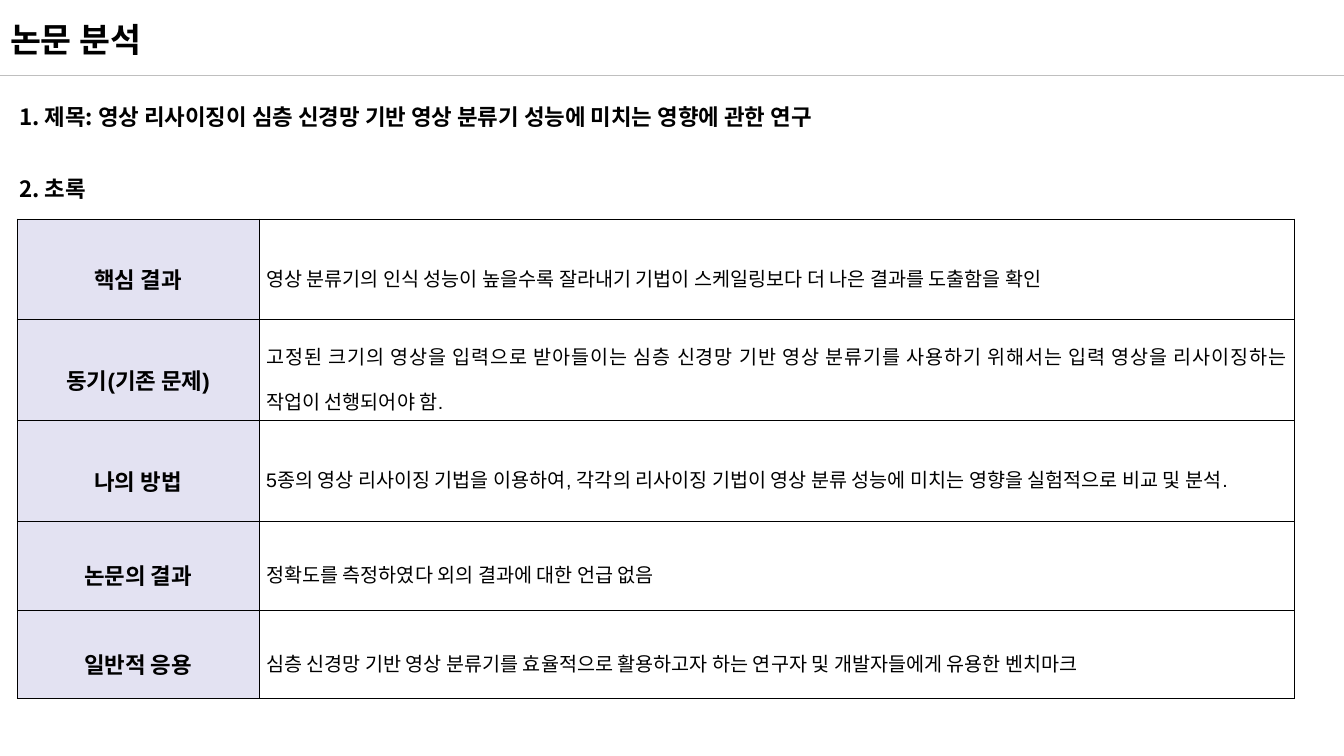
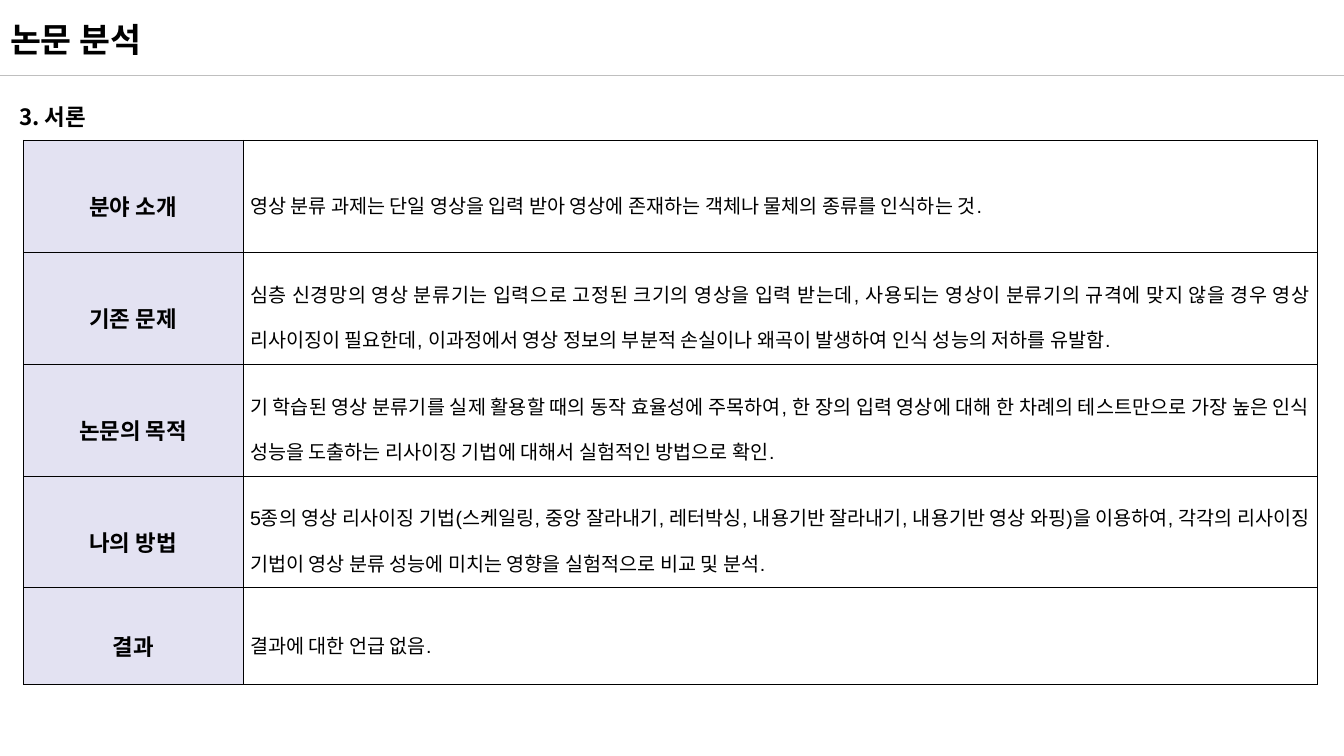
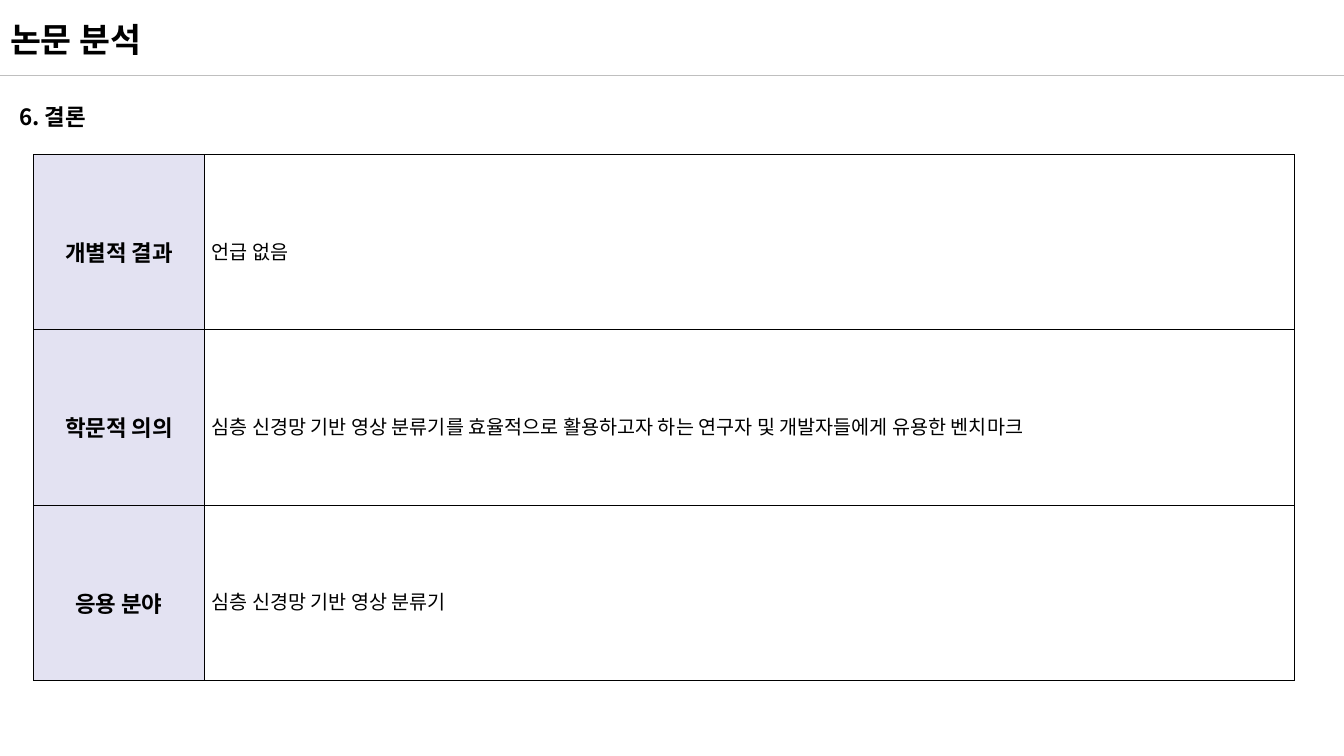
from lxml import etree
from pptx import Presentation
from pptx.dml.color import RGBColor
from pptx.enum.shapes import MSO_CONNECTOR
from pptx.enum.text import MSO_ANCHOR, MSO_AUTO_SIZE, PP_ALIGN
from pptx.oxml.ns import qn
from pptx.util import Inches, Pt

LINE = MSO_CONNECTOR.STRAIGHT
TOP, MIDDLE = MSO_ANCHOR.TOP, MSO_ANCHOR.MIDDLE
FIXED = MSO_AUTO_SIZE.NONE
LEFT, CENTER, JUSTIFY = PP_ALIGN.LEFT, PP_ALIGN.CENTER, PP_ALIGN.JUSTIFY

COLORS = {"text": "000000", "rule": "BFBFBF", "label": "E3E2F2", "border": "000000"}
HANGUL, LATIN = "Noto Sans CJK KR", "Arial"
WIDTH, HEIGHT = 13.33, 7.5
TITLE = "논문 분석"
TITLE_BOX = (0, 0.14, 12.84, 0.5)
RULE_TOP = 0.75
HEAD_GAP = 23

SLIDES = [
    {
        "heads": ["1. 제목: 영상 리사이징이 심층 신경망 기반 영상 분류기 성능에 미치는 영향에 관한 연구",
                  "2. 초록"],
        "head_box": (0.09, 0.84, 12.85, 1.72),
        "corner": (0.17, 2.17),
        "cols": (2.4, 10.27),
        "heights": (1, 1, 1, 0.88, 0.88),
        "rows": [
            ("핵심 결과", "영상 분류기의 인식 성능이 높을수록 잘라내기 기법이 스케일링보다 더 나은 결과를 도출함을 확인"),
            ("동기(기존 문제)", "고정된 크기의 영상을 입력으로 받아들이는 심층 신경망 기반 영상 분류기를 "
             "사용하기 위해서는 입력 영상을 리사이징하는 작업이 선행되어야 함."),
            ("나의 방법", "5종의 영상 리사이징 기법을 이용하여, 각각의 리사이징 기법이 "
             "영상 분류 성능에 미치는 영향을 실험적으로 비교 및 분석."),
            ("논문의 결과", "정확도를 측정하였다 외의 결과에 대한 언급 없음"),
            ("일반적 응용", "심층 신경망 기반 영상 분류기를 효율적으로 활용하고자 하는 "
             "연구자 및 개발자들에게 유용한 벤치마크"),
        ],
    },
    {
        "heads": ["3. 서론"],
        "head_box": (0.09, 0.84, 12.85, 0.91),
        "corner": (0.23, 1.39),
        "cols": (2.18, 10.65),
        "heights": (1.11, 1.11, 1.11, 1.11, 0.96),
        "rows": [
            ("분야 소개", "영상 분류 과제는 단일 영상을 입력 받아 영상에 존재하는 객체나 물체의 종류를 인식하는 것."),
            ("기존 문제", "심층 신경망의 영상 분류기는 입력으로 고정된 크기의 영상을 입력 받는데, "
             "사용되는 영상이 분류기의 규격에 맞지 않을 경우 영상 리사이징이 필요한데, "
             "이과정에서 영상 정보의 부분적 손실이나 왜곡이 발생하여 인식 성능의 저하를 유발함."),
            ("논문의 목적", "기 학습된 영상 분류기를 실제 활용할 때의 동작 효율성에 주목하여, "
             "한 장의 입력 영상에 대해 한 차례의 테스트만으로 가장 높은 인식 성능을 "
             "도출하는 리사이징 기법에 대해서 실험적인 방법으로 확인."),
            ("나의 방법", "5종의 영상 리사이징 기법(스케일링, 중앙 잘라내기, 레터박싱, 내용기반 잘라내기, "
             "내용기반 영상 와핑)을 이용하여, 각각의 리사이징 기법이 "
             "영상 분류 성능에 미치는 영향을 실험적으로 비교 및 분석."),
            ("결과", "결과에 대한 언급 없음."),
        ],
    },
    {
        "heads": ["6. 결론"],
        "head_box": (0.09, 0.84, 12.85, 0.91),
        "corner": (0.33, 1.53),
        "cols": (1.7, 10.81),
        "heights": (1.74,) * 3,
        "rows": [
            ("개별적 결과", "언급 없음"),
            ("학문적 의의", "심층 신경망 기반 영상 분류기를 효율적으로 활용하고자 하는 "
             "연구자 및 개발자들에게 유용한 벤치마크"),
            ("응용 분야", "심층 신경망 기반 영상 분류기"),
        ],
    },
]


def color(name):
    return RGBColor.from_string(COLORS[name])


def style(para, size, bold, latin, align, spacing=1.0):
    para.alignment = align
    para.line_spacing = spacing
    font = para.font
    font.size, font.bold, font.name = Pt(size), bold, latin
    font.color.rgb = color("text")
    props = para._p.pPr.find(qn("a:defRPr"))
    face = etree.Element(qn("a:ea"), typeface=HANGUL)
    props.find(qn("a:latin")).addnext(face)


def place(shape, box, anchor):
    shape.left, shape.top, shape.width, shape.height = map(Inches, box)
    frame = shape.text_frame
    frame.auto_size, frame.vertical_anchor = FIXED, anchor
    frame.word_wrap = True
    return frame


def add_title(slide):
    frame = place(slide.shapes.title, TITLE_BOX, MIDDLE)
    frame.text = TITLE
    style(frame.paragraphs[0], 24, True, HANGUL, LEFT)


def add_rule(slide):
    y = Inches(RULE_TOP)
    rule = slide.shapes.add_connector(LINE, 0, y, Inches(WIDTH), y)
    rule.line.color.rgb = color("rule")
    rule.line.width = Pt(0.5)
    etree.SubElement(rule._element.spPr, qn("a:effectLst"))


def add_heads(slide, heads, box):
    frame = place(slide.placeholders[1], box, TOP)
    frame.text = "\n".join(heads)
    for i, para in enumerate(frame.paragraphs):
        props = para._p.get_or_add_pPr()
        props.set("marL", "0")
        props.set("indent", "0")
        etree.SubElement(props, qn("a:buNone"))
        para.space_before = Pt(HEAD_GAP if i else 0)
        style(para, 16, True, HANGUL, LEFT, 1.5)


def add_borders(cell):
    props = cell._tc.get_or_add_tcPr()
    for i, side in enumerate(("lnL", "lnR", "lnT", "lnB")):
        line = etree.Element(qn("a:" + side), w=str(Pt(0.28)))
        fill = etree.SubElement(line, qn("a:solidFill"))
        etree.SubElement(fill, qn("a:srgbClr"), val=COLORS["border"])
        props.insert(i, line)


def fill_cell(cell, text, label):
    cell.text = text
    cell.vertical_anchor = MIDDLE
    cell.margin_left = cell.margin_right = Inches(0.07)
    cell.margin_top = cell.margin_bottom = Inches(0.02)
    if label:
        cell.fill.solid()
        cell.fill.fore_color.rgb = color("label")
    else:
        cell.fill.background()
    size, align = (16, CENTER) if label else (14, JUSTIFY)
    style(cell.text_frame.paragraphs[0], size, label, LATIN, align, 1.6)
    add_borders(cell)


def add_grid(slide, corner, cols, heights, rows):
    box = map(Inches, (*corner, sum(cols), sum(heights)))
    table = slide.shapes.add_table(len(rows), len(cols), *box).table
    table.first_row = table.horz_banding = False
    for col, width in zip(table.columns, cols):
        col.width = Inches(width)
    for row, height, texts in zip(table.rows, heights, rows):
        row.height = Inches(height)
        for i, text in enumerate(texts):
            fill_cell(row.cells[i], text, i == 0)


def add_page(deck, heads, head_box, **grid):
    slide = deck.slides.add_slide(deck.slide_layouts[1])
    add_rule(slide)
    add_title(slide)
    add_heads(slide, heads, head_box)
    add_grid(slide, **grid)


def main():
    deck = Presentation()
    deck.slide_width, deck.slide_height = Inches(WIDTH), Inches(HEIGHT)
    for page in SLIDES:
        add_page(deck, **page)
    deck.save("out.pptx")


if __name__ == "__main__":
    main()
